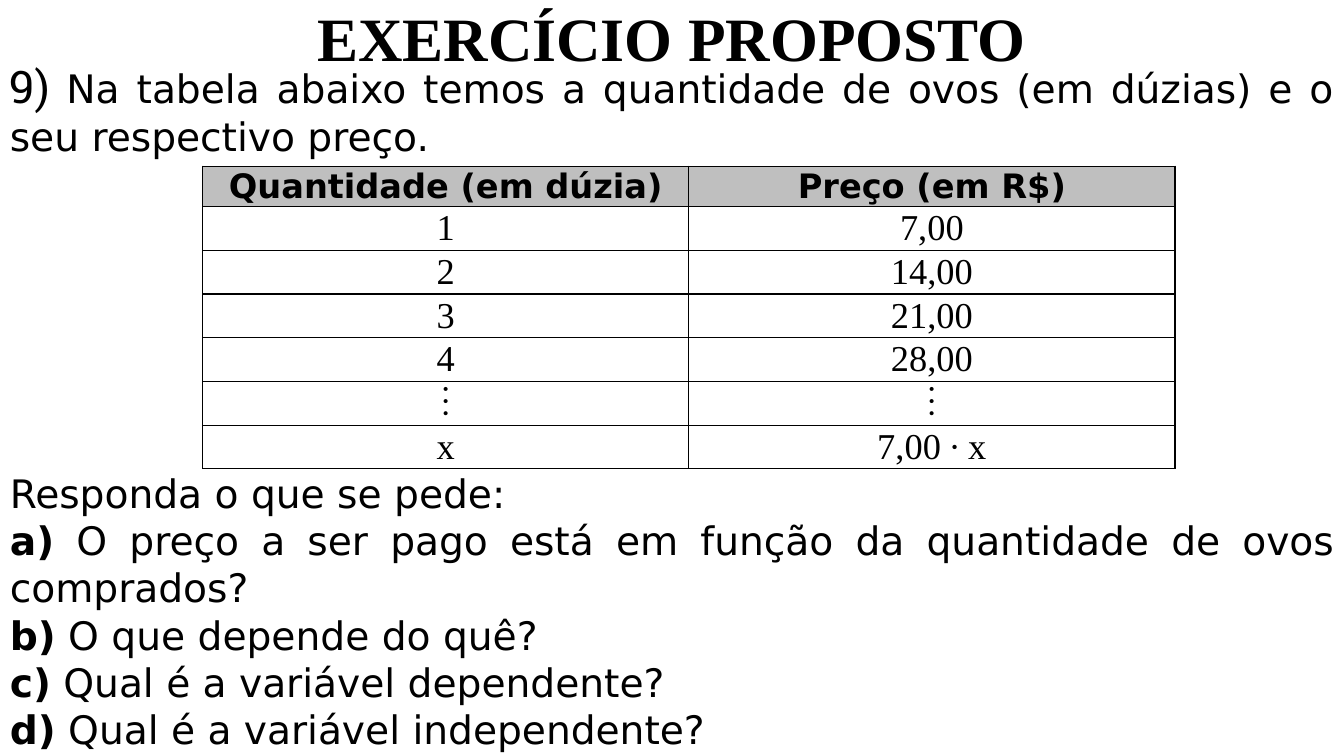
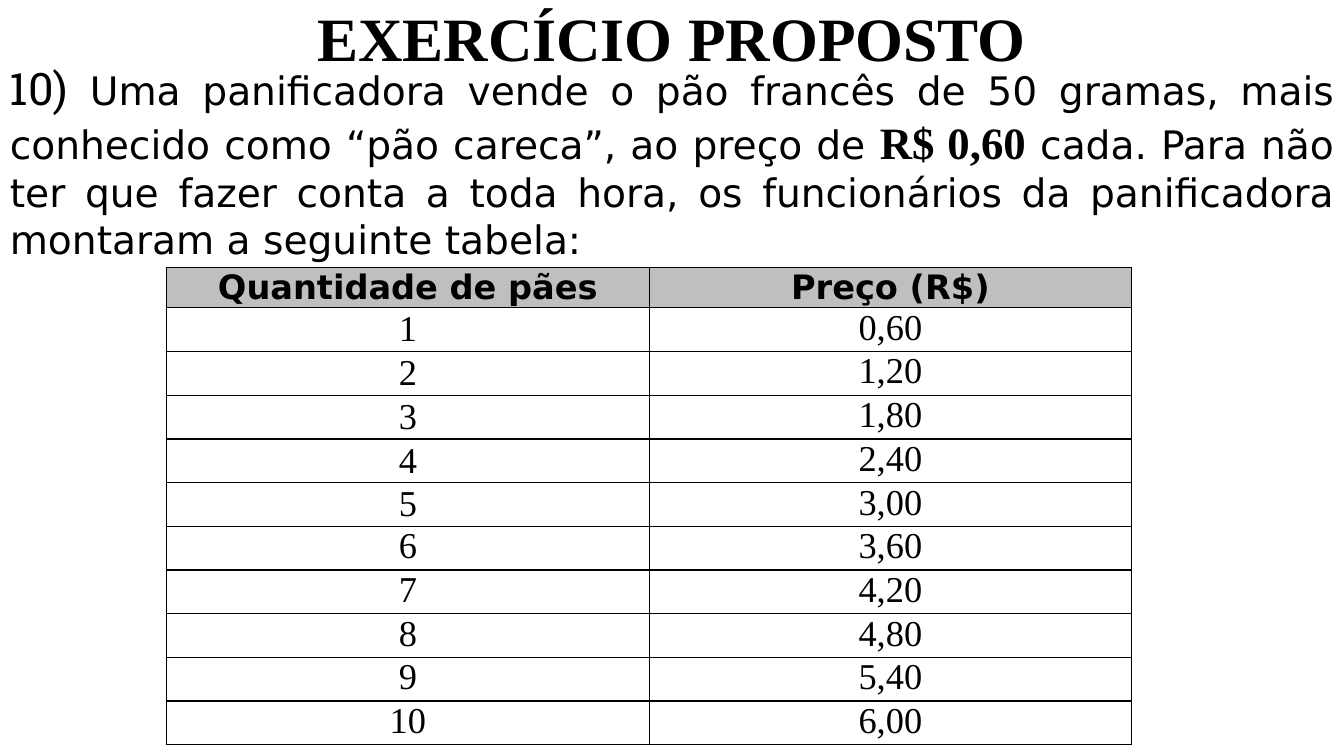
from lxml import etree
from pptx import Presentation
from pptx.dml.color import RGBColor
from pptx.enum.text import MSO_ANCHOR, MSO_AUTO_SIZE, PP_ALIGN
from pptx.oxml.ns import qn
from pptx.util import Cm, Pt

CENTER, JUSTIFY = PP_ALIGN.CENTER, PP_ALIGN.JUSTIFY
TOP, MIDDLE = MSO_ANCHOR.TOP, MSO_ANCHOR.MIDDLE
GROW, FIXED = MSO_AUTO_SIZE.SHAPE_TO_FIT_TEXT, MSO_AUTO_SIZE.NONE

COLORS = {"text": "000000", "border": "000000", "header": "BFBFBF"}
SANS, SLAB, SERIF = "DejaVu Sans", "Roboto Slab", "Times New Roman"
STYLES = {
    "title": {"font": SERIF, "size": 44, "bold": True},
    "number": {"font": SLAB, "size": 32},
    "body": {"font": SANS, "size": 28},
    "item": {"font": SANS, "size": 28, "bold": True},
    "price": {"font": SERIF, "size": 32, "bold": True},
    "head": {"font": SANS, "size": 24, "bold": True},
    "cell": {"font": SERIF, "size": 26},
}
WIDTH, HEIGHT = 33.87, 19.05
HEAD_ROW, BODY_ROW = 1.01, 1.1


def add_run(p, text, font=SANS, size=28, bold=False):
    """Append one formatted run to a paragraph."""
    r = p.add_run()
    r.text = text
    r.font.name, r.font.size, r.font.bold = font, Pt(size), bold
    r.font.color.rgb = RGBColor.from_string(COLORS["text"])


def write_text(tf, paragraphs, align):
    """Fill a text frame with paragraphs given as (style, text) runs."""
    for i, runs in enumerate(paragraphs):
        p = tf.add_paragraph() if i else tf.paragraphs[0]
        p.alignment = align
        for style, text in runs:
            add_run(p, text, **STYLES[style])


def add_text(s, top, height, paragraphs, align=JUSTIFY, anchor=TOP, auto_size=GROW):
    """Add a text box as wide as the slide."""
    tf = s.shapes.add_textbox(0, Cm(top), Cm(WIDTH), Cm(height)).text_frame
    tf.word_wrap, tf.auto_size, tf.vertical_anchor = True, auto_size, anchor
    write_text(tf, paragraphs, align)


def add_borders(cell):
    """Draw a thin line on each side of a table cell."""
    tc_pr = cell._tc.get_or_add_tcPr()
    for side in ("lnL", "lnR", "lnT", "lnB"):
        ln = etree.SubElement(tc_pr, qn(f"a:{side}"), w=str(Pt(1)))
        fill = etree.SubElement(ln, qn("a:solidFill"))
        etree.SubElement(fill, qn("a:srgbClr"), val=COLORS["border"])


def format_cell(cell, text, is_head, anchor):
    """Write and style one table cell."""
    cell.margin_left = cell.margin_right = Cm(0.19)
    cell.margin_top = cell.margin_bottom = 0
    cell.vertical_anchor = anchor
    add_borders(cell)
    if is_head:
        cell.fill.solid()
        cell.fill.fore_color.rgb = RGBColor.from_string(COLORS["header"])
    else:
        cell.fill.background()
    write_text(cell.text_frame, [[("head" if is_head else "cell", text)]], CENTER)


def add_price_table(s, left, top, width, rows, middle_rows):
    """Add a table; middle_rows counts the vertically centred rows per column."""
    cols = len(rows[0])
    height = HEAD_ROW + BODY_ROW * (len(rows) - 1)
    table = s.shapes.add_table(len(rows), cols, Cm(left), Cm(top),
                               Cm(width), Cm(height)).table
    table.first_row = table.horz_banding = False
    for column in table.columns:
        column.width = Cm(width / cols)
    for i, values in enumerate(rows):
        table.rows[i].height = Cm(BODY_ROW if i else HEAD_ROW)
        for j, value in enumerate(values):
            anchor = MIDDLE if i < middle_rows[j] else TOP
            format_cell(table.cell(i, j), value, i == 0, anchor)


def add_exercise(prs):
    """Add a blank slide with the shared title."""
    s = prs.slides.add_slide(prs.slide_layouts[6])
    add_text(s, 0, 1.88, [[("title", "EXERCÍCIO PROPOSTO")]], CENTER, MIDDLE, FIXED)
    return s


def add_eggs_slide(prs):
    """Build the exercise on the price of eggs."""
    s = add_exercise(prs)
    add_text(s, 1.35, 2.82, [[
        ("number", "9)"),
        ("body", " Na tabela abaixo temos a quantidade de ovos (em dúzias) "
                 "e o seu respectivo preço."),
    ]])
    rows = [("Quantidade (em dúzia)", "Preço (em R$)")]
    rows += [(str(n), f"{7 * n},00") for n in range(1, 5)]
    rows += [("⋮", "⋮"), ("x", "7,00 ∙ x")]
    add_price_table(s, 5.11, 4.19, 24.5, rows, (len(rows), len(rows)))
    questions = [
        ("a)", "O preço a ser pago está em função da quantidade de ovos comprados?"),
        ("b)", "O que depende do quê?"),
        ("c)", "Qual é a variável dependente?"),
        ("d)", "Qual é a variável independente?"),
    ]
    add_text(s, 11.71, 7.44, [[("body", "Responda o que se pede:")]] + [
        [("item", letter), ("body", f" {question}")] for letter, question in questions
    ])


def add_bread_slide(prs):
    """Build the exercise on the price of bread."""
    s = add_exercise(prs)
    add_text(s, 1.4, 5.56, [[
        ("number", "10)"),
        ("body", " Uma panificadora vende o pão francês de 50 gramas, mais "
                 "conhecido como “pão careca”, ao preço de "),
        ("price", "R$ 0,60"),
        ("body", " cada. Para não ter que fazer conta a toda hora, os "
                 "funcionários da panificadora montaram a seguinte tabela:"),
    ]])
    rows = [("Quantidade de pães", "Preço (R$)")]
    rows += [(str(n), f"{0.6 * n:.2f}".replace(".", ",")) for n in range(1, 11)]
    add_price_table(s, 4.2, 6.74, 24.32, rows, (6, 1))


def main():
    """Build and save the presentation."""
    prs = Presentation()
    prs.slide_width, prs.slide_height = Cm(WIDTH), Cm(HEIGHT)
    add_eggs_slide(prs)
    add_bread_slide(prs)
    prs.save("out.pptx")


if __name__ == "__main__":
    main()
